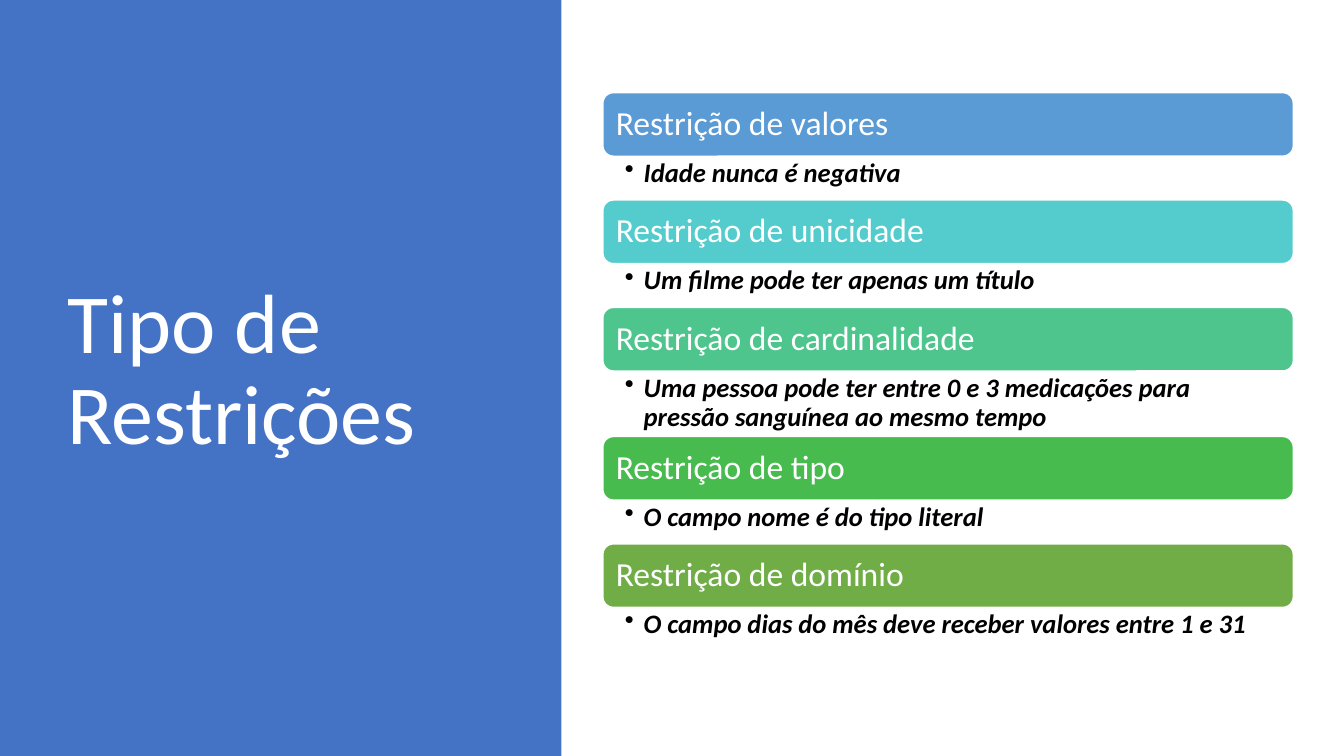
from lxml import etree
from pptx import Presentation
from pptx.dml.color import RGBColor
from pptx.enum.shapes import MSO_SHAPE
from pptx.enum.text import MSO_ANCHOR, MSO_AUTO_SIZE, PP_ALIGN
from pptx.oxml.ns import qn
from pptx.util import Pt

RECT, ROUNDED = MSO_SHAPE.RECTANGLE, MSO_SHAPE.ROUNDED_RECTANGLE
TOP, MIDDLE = MSO_ANCHOR.TOP, MSO_ANCHOR.MIDDLE
LEFT = PP_ALIGN.LEFT
NO_FIT = MSO_AUTO_SIZE.NONE

FONT = "Calibri"
COLORS = {
    "panel": "4472C4",
    "white": "FFFFFF",
    "black": "000000",
    "valores": "5B9BD5",
    "unicidade": "54CCCD",
    "cardinalidade": "4DC58D",
    "tipo": "48BB4F",
    "domínio": "70AD47",
}
LIST_LEFT, LIST_TOP, LIST_WIDTH = 430.6, 66.2, 493.2
BAR_HEIGHT = 45.4
NOTE_HEIGHTS = {1: 31.3, 2: 46.8}  # by number of text lines

# kind of constraint, example, lines the example takes
CONSTRAINTS = [
    ("valores", "Idade nunca é negativa", 1),
    ("unicidade", "Um filme pode ter apenas um título", 1),
    ("cardinalidade",
     "Uma pessoa pode ter entre 0 e 3 medicações para pressão sanguínea ao mesmo tempo", 2),
    ("tipo", "O campo nome é do tipo literal", 1),
    ("domínio", "O campo dias do mês deve receber valores entre 1 e 31", 1),
]


def rgb(name):
    return RGBColor.from_string(COLORS[name])


def add_bullet(p, indent):
    pPr = p._p.get_or_add_pPr()
    pPr.set("marL", str(Pt(indent)))
    pPr.set("indent", str(-Pt(indent)))
    etree.SubElement(pPr, qn("a:buChar")).set("char", "•")


def write(sp, text, size, color="white", anchor=MIDDLE, margins=(7.2, 7.2, 7.2, 7.2),
          bold=False, italic=False, bullet_indent=None):
    """Fill a shape with one paragraph; margins are left, top, right, bottom."""
    tf = sp.text_frame
    tf.word_wrap = True
    tf.auto_size = NO_FIT
    tf.vertical_anchor = anchor
    tf.margin_left, tf.margin_top, tf.margin_right, tf.margin_bottom = map(Pt, margins)
    p = tf.paragraphs[0]
    p.alignment = LEFT
    p.line_spacing = 0.9
    if bullet_indent:
        add_bullet(p, bullet_indent)
    r = p.add_run()
    r.text = text
    r.font.name = FONT
    r.font.size = Pt(size)
    r.font.bold = bold
    r.font.italic = italic
    r.font.color.rgb = rgb(color)


def add_block(slide, kind, left, top, width, height, fill, line=None):
    sp = slide.shapes.add_shape(kind, Pt(left), Pt(top), Pt(width), Pt(height))
    sp.shadow.inherit = False
    sp.fill.solid()
    sp.fill.fore_color.rgb = rgb(fill)
    if line:
        sp.line.color.rgb = rgb(line)
        sp.line.width = Pt(1)
    else:
        sp.line.fill.background()
    return sp


def add_title_panel(slide, text):
    panel = add_block(slide, RECT, 0, 0, 401, 540, "panel")
    title = slide.shapes.title
    title._element.addprevious(panel._element)  # panel goes behind the title
    title.left, title.top, title.width, title.height = Pt(41), Pt(49), Pt(299.5), Pt(433.4)
    write(title, text, 60, margins=(7.2, 3.6, 7.2, 3.6))


def add_constraint(slide, top, kind, example, note_height):
    bar = add_block(slide, ROUNDED, LIST_LEFT, top, LIST_WIDTH, BAR_HEIGHT, kind, line="white")
    write(bar, f"Restrição de {kind}", 24)
    note = slide.shapes.add_textbox(Pt(LIST_LEFT), Pt(top + BAR_HEIGHT),
                                    Pt(LIST_WIDTH), Pt(note_height))
    write(note, example, 19, color="black", anchor=TOP, margins=(15.7, 2.4, 13.5, 2.4),
          bold=True, italic=True, bullet_indent=13.5)


def main():
    prs = Presentation()
    prs.slide_width, prs.slide_height = Pt(960), Pt(540)
    slide = prs.slides.add_slide(prs.slide_layouts.get_by_name("Title Only"))
    add_title_panel(slide, "Tipo de Restrições")
    top = LIST_TOP
    for kind, example, lines in CONSTRAINTS:
        add_constraint(slide, top, kind, example, NOTE_HEIGHTS[lines])
        top += BAR_HEIGHT + NOTE_HEIGHTS[lines]
    prs.save("out.pptx")


if __name__ == "__main__":
    main()
